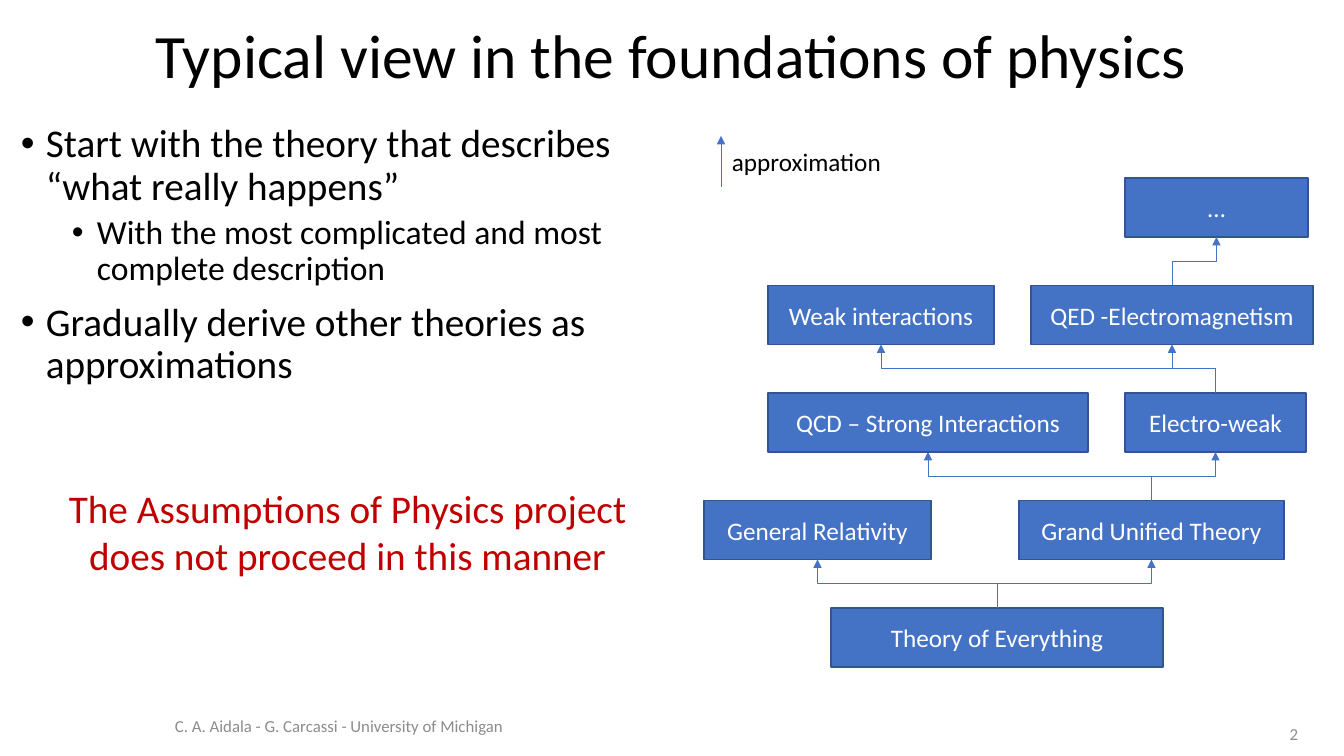
from lxml import etree
from pptx import Presentation
from pptx.dml.color import RGBColor
from pptx.enum.shapes import MSO_CONNECTOR, MSO_SHAPE
from pptx.enum.text import MSO_ANCHOR, MSO_AUTO_SIZE, PP_ALIGN
from pptx.oxml.ns import qn
from pptx.util import Emu, Pt

LEFT, CENTER, RIGHT = PP_ALIGN.LEFT, PP_ALIGN.CENTER, PP_ALIGN.RIGHT
TOP, MIDDLE = MSO_ANCHOR.TOP, MSO_ANCHOR.MIDDLE

FONT = "Calibri"
BLACK = RGBColor(0x00, 0x00, 0x00)
WHITE = RGBColor(0xFF, 0xFF, 0xFF)
GRAY = RGBColor(0x8C, 0x8C, 0x8C)
RED = RGBColor(0xC0, 0x00, 0x00)
BLUE = RGBColor(0x44, 0x72, 0xC4)
DARK_BLUE = RGBColor(0x32, 0x54, 0x91)

# Content
TITLE = "Typical view in the foundations of physics"
BULLETS = [  # level, text
    (0, "Start with the theory that describes “what really happens”"),
    (1, "With the most complicated and most complete description"),
    (0, "Gradually derive other theories as approximations"),
]
LEVELS = [(25, 28, 10), (76, 24, 5)]  # indent px, size pt, space before pt
LABELS = [  # text, (left, top, width, height), size, color, align, anchor, wrap
    ("C. A. Aidala - G. Carcassi - University of Michigan",
     (165, 706, 658, 40), 12, GRAY, LEFT, MIDDLE, True),
    ("2", (1247, 721, 61, 25), 12, GRAY, RIGHT, MIDDLE, True),
    ("approximation", (722, 141, 171, 40), 18, BLACK, LEFT, TOP, False),
    ("The Assumptions of Physics project does not proceed in this manner",
     (24, 479, 647, 105), 28, RED, CENTER, TOP, True),
]
THEORIES = {  # name: (level above the base, left, width)
    "Theory of Everything": (0, 831, 332),
    "General Relativity": (1, 704, 227),
    "Grand Unified Theory": (1, 1019, 265),
    "Electro-weak": (2, 1125, 181),
    "QCD – Strong Interactions": (2, 768, 320),
    "QED -Electromagnetism": (3, 1031, 282),
    "Weak interactions": (3, 768, 226),
    "…": (4, 1125, 183),
}
DERIVATIONS = [
    ("Theory of Everything", "General Relativity"),
    ("Theory of Everything", "Grand Unified Theory"),
    ("Grand Unified Theory", "Electro-weak"),
    ("Grand Unified Theory", "QCD – Strong Interactions"),
    ("Electro-weak", "QED -Electromagnetism"),
    ("Electro-weak", "Weak interactions"),
    ("QED -Electromagnetism", "…"),
]
BASE_TOP, TWO_LEVELS, BOX_HEIGHT = 608, 215, 59


def px(length):
    return Emu(round(length * 914400 / 100.8))


def add_span(para, text, size, color):
    span = para.add_run()
    span.text = text
    span.font.name = FONT
    span.font.size = Pt(size)
    span.font.color.rgb = color


def add_text_box(place, anchor=TOP, wrap=True):
    frame = page.shapes.add_textbox(*map(px, place)).text_frame
    frame.word_wrap = wrap
    frame.vertical_anchor = anchor
    return frame


def style_arrow(arrow):
    arrow.line.color.rgb = BLUE
    arrow.line.width = Pt(0.5)
    etree.SubElement(arrow.line._get_or_add_ln(), qn("a:tailEnd"), type="triangle")
    etree.SubElement(arrow._element.spPr, qn("a:effectLst"))


deck = Presentation()
deck.slide_width, deck.slide_height = px(1344), px(756)
page = deck.slides.add_slide(deck.slide_layouts[5])

# Title
title = page.shapes.title
title.left, title.top, title.width, title.height = map(px, (11, 9, 1321, 99))
title.text_frame.auto_size = MSO_AUTO_SIZE.NONE
title.text_frame.vertical_anchor = MIDDLE
para = title.text_frame.paragraphs[0]
para.alignment = CENTER
para.line_spacing = 0.9
add_span(para, TITLE, 44, BLACK)

# Bullet list
frame = add_text_box((11, 119, 660, 575))
for index, (level, text) in enumerate(BULLETS):
    indent, size, space = LEVELS[level]
    para = frame.add_paragraph() if index else frame.paragraphs[0]
    para.level = level
    para.line_spacing = 0.9
    para.space_before = Pt(space)
    props = para._p.get_or_add_pPr()
    props.set("marL", str(px(indent)))
    props.set("indent", str(-px(25)))
    etree.SubElement(props, qn("a:buFont"), typeface="Arial")
    etree.SubElement(props, qn("a:buChar"), char="•")
    add_span(para, text, size, BLACK)

# Theory boxes
boxes = {}
for name, (level, left, width) in THEORIES.items():
    top = BASE_TOP - level * TWO_LEVELS / 2
    box = page.shapes.add_shape(MSO_SHAPE.RECTANGLE, *map(px, (left, top, width, BOX_HEIGHT)))
    box.shadow.inherit = False
    box.fill.solid()
    box.fill.fore_color.rgb = BLUE
    box.line.color.rgb = DARK_BLUE
    box.line.width = Pt(1)
    box.text_frame.vertical_anchor = MIDDLE
    para = box.text_frame.paragraphs[0]
    para.alignment = CENTER
    add_span(para, name, 18, WHITE)
    boxes[name] = box

# Derivation arrows: elbows laid out sideways, then turned to point up
for source, target in DERIVATIONS:
    start, end = boxes[source], boxes[target]
    start_x, end_x = start.left + start.width // 2, end.left + end.width // 2
    end_y = end.top + end.height
    center_x, center_y = (start_x + end_x) // 2, (start.top + end_y) // 2
    half_rise, half_run = (start.top - end_y) // 2, (end_x - start_x) // 2
    arrow = page.shapes.add_connector(
        MSO_CONNECTOR.ELBOW,
        Emu(center_x - half_rise), Emu(center_y - half_run),
        Emu(center_x + half_rise), Emu(center_y + half_run))
    arrow._element.spPr.find(qn("a:xfrm")).set("rot", str(270 * 60000))
    style_arrow(arrow)

# Legend arrow
style_arrow(page.shapes.add_connector(
    MSO_CONNECTOR.STRAIGHT, px(721), px(187), px(721), px(136)))

# Labels
for text, place, size, color, align, anchor, wrap in LABELS:
    para = add_text_box(place, anchor, wrap).paragraphs[0]
    para.alignment = align
    add_span(para, text, size, color)

deck.save("out.pptx")
